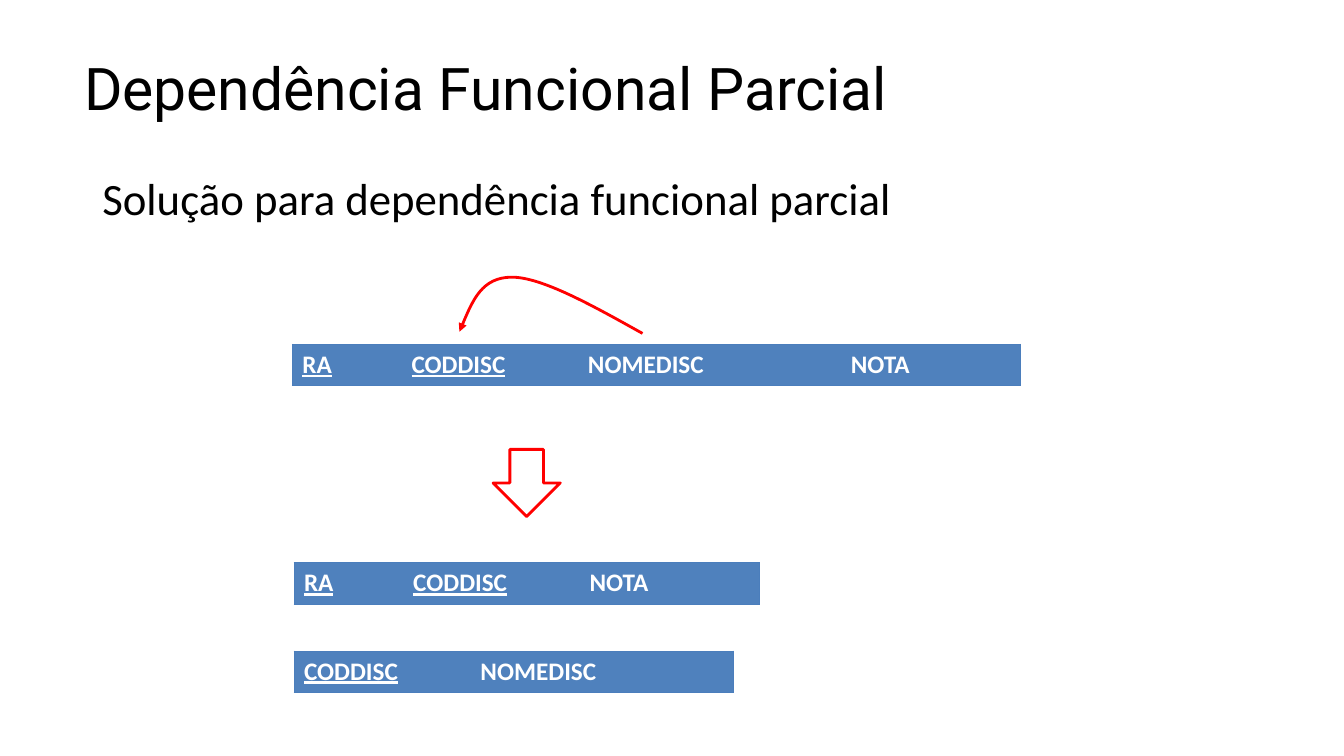
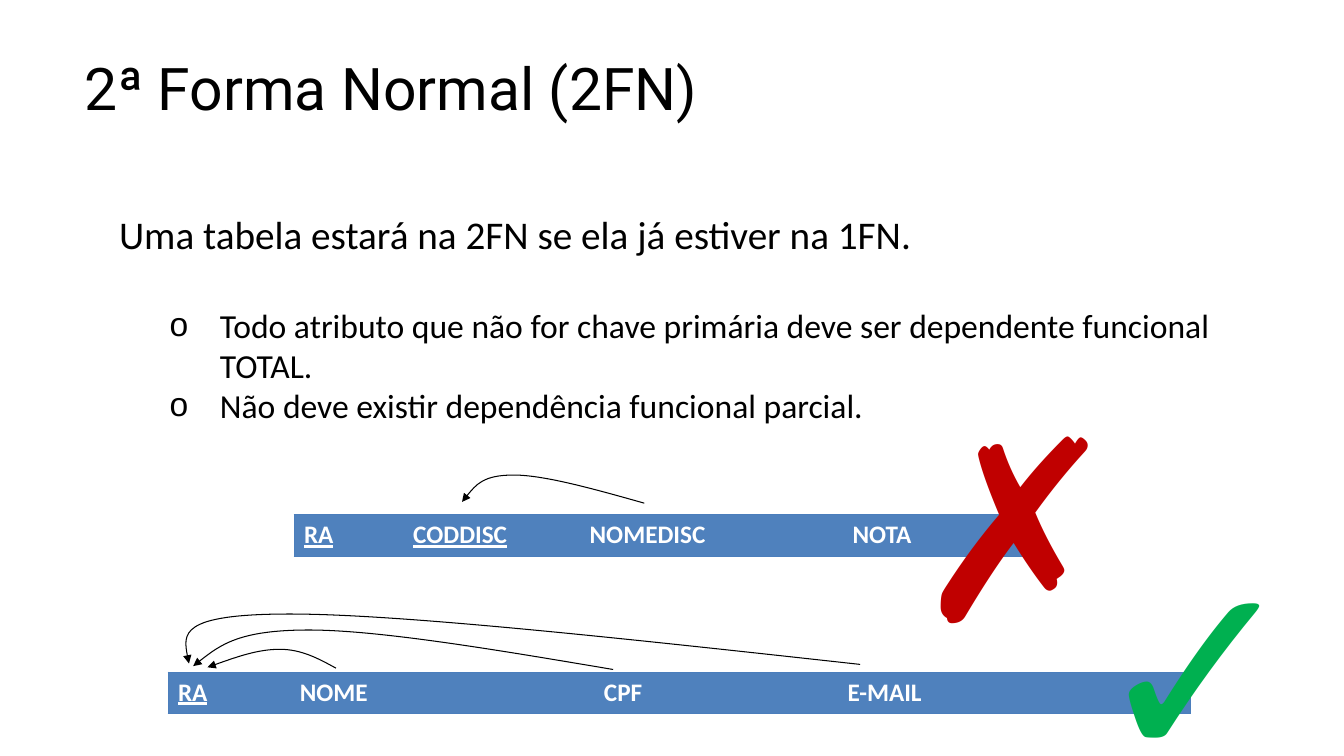
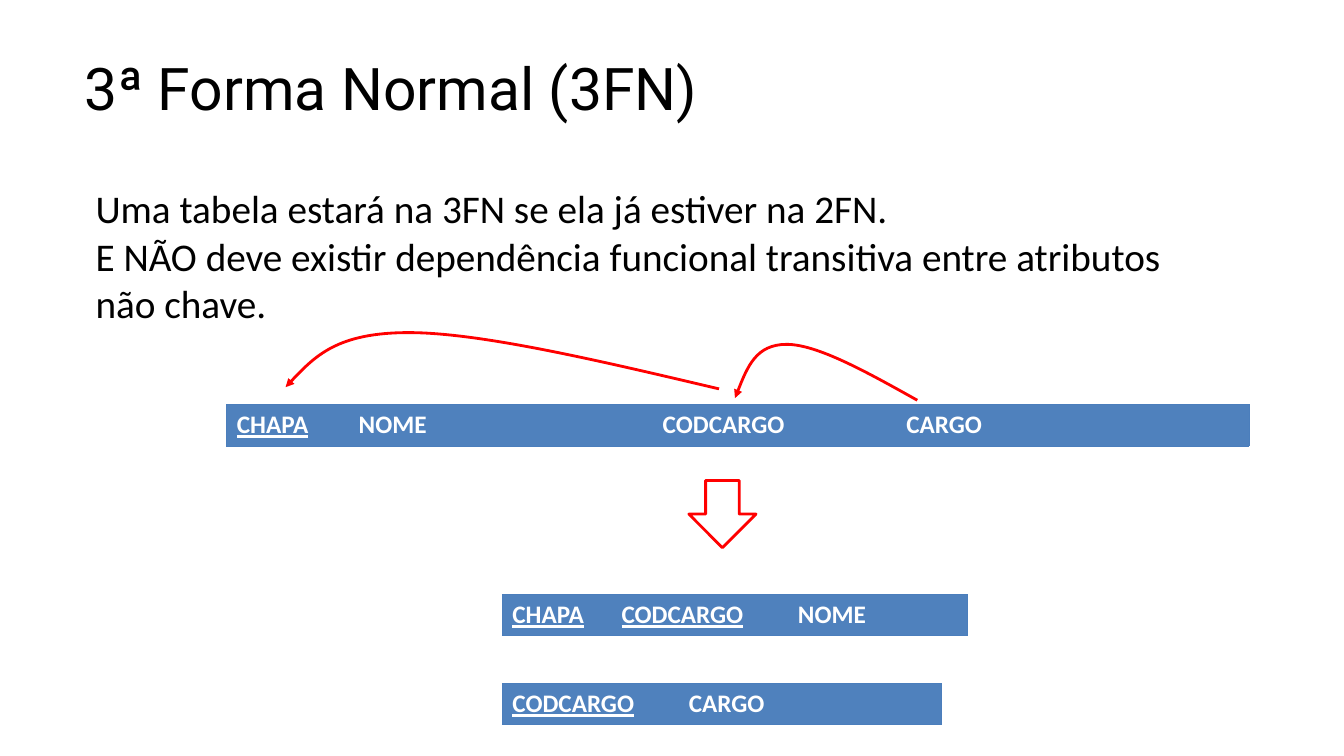
from dataclasses import dataclass

from lxml.etree import SubElement
from pptx import Presentation
from pptx.dml.color import RGBColor
from pptx.enum.shapes import MSO_SHAPE
from pptx.enum.text import MSO_ANCHOR, MSO_AUTO_SIZE, PP_ALIGN
from pptx.oxml.ns import qn
from pptx.presentation import Presentation as Deck
from pptx.slide import Slide
from pptx.util import Emu, Inches, Pt

# The slide is a grid of 160 columns by 90 rows
COLS, ROWS = 160, 90
WIDE, HIGH = 12192000, 6858000


@dataclass(frozen=True)
class Theme:
    ink: str = "000000"
    paper: str = "FFFFFF"
    band: str = "4F81BD"
    edge: str = "4B7EBC"
    alert: str = "FF0000"
    good: str = "00B050"
    bad: str = "C00000"
    head: str = "Roboto"
    body: str = "Calibri"
    sign: str = "Arial"
    title: float = 42
    lead: float = 32
    text: float = 28
    item: float = 24
    cell: float = 18
    mark: float = 180
    thin: float = 0.75
    bold: float = 2


THEME = Theme()


@dataclass(frozen=True)
class Box:
    x: float
    y: float
    w: float
    h: float

    def place(self) -> tuple[Emu, Emu, Emu, Emu]:
        return col(self.x), row(self.y), col(self.w), row(self.h)


@dataclass(frozen=True)
class Line:
    text: str
    size: float = THEME.text
    color: str = THEME.ink
    font: str = THEME.body
    bullet: bool = False
    gap: float = 0


@dataclass(frozen=True)
class Band:
    """A relation: its first `keys` fields are underlined."""
    x: float
    y: float
    names: tuple[str, ...]
    widths: tuple[float, ...]
    keys: int = 1


@dataclass(frozen=True)
class Arc:
    """An arrow that rises to `top` between two bends."""
    start: tuple[float, float]
    bends: tuple[float, float]
    top: float
    end: tuple[float, float]


# Column widths of the relations
FULL = (13, 21, 31.3, 21.4)
LONG = (14.5, 36.2, 29, 42)
TRIO = (13, 21, 21.4)
PAIR = (21, 31.3)
BAND_H = 4.9


def col(n: float) -> Emu:
    return Emu(round(n * WIDE / COLS))


def row(n: float) -> Emu:
    return Emu(round(n * HIGH / ROWS))


def rgb(code: str) -> RGBColor:
    return RGBColor.from_string(code)


def style(font, name: str, size: float, color: str) -> None:
    font.name, font.size = name, Pt(size)
    font.color.rgb = rgb(color)


def add_title(deck: Deck, text: str) -> Slide:
    slide = deck.slides.add_slide(deck.slide_layouts[5])
    title = slide.shapes.title
    title.left, title.top, title.width, title.height = Box(10, 5.9, 108.3, 8.7).place()
    frame = title.text_frame
    frame.text = text
    frame.auto_size = MSO_AUTO_SIZE.NONE
    frame.vertical_anchor = MSO_ANCHOR.TOP
    frame.margin_left = frame.margin_right = frame.margin_bottom = 0
    frame.margin_top = Inches(0.02)
    para = frame.paragraphs[0]
    para.alignment = PP_ALIGN.LEFT
    style(para.runs[0].font, THEME.head, THEME.title, THEME.ink)
    return slide


def add_text(slide: Slide, box: Box, lines: list[Line], wrap: bool = True,
             align: PP_ALIGN = PP_ALIGN.LEFT) -> None:
    frame = slide.shapes.add_textbox(*box.place()).text_frame
    frame.word_wrap = wrap
    frame.text = "\n".join(line.text for line in lines)
    for para, line in zip(frame.paragraphs, lines):
        para.alignment = align
        if line.gap:
            para.space_before = Pt(line.gap)
        if line.bullet:
            para.level = 1
            props = para._p.get_or_add_pPr()
            props.set("marL", str(Inches(1)))
            props.set("indent", str(-Inches(0.5)))
            SubElement(props, qn("a:buFont"), typeface=THEME.sign)
            SubElement(props, qn("a:buChar"), char="o")
        style(para.runs[0].font, line.font, line.size, line.color)


def add_mark(slide: Slide, box: Box, sign: str, color: str) -> None:
    add_text(slide, box, [Line(sign, THEME.mark, color, THEME.sign)], False, PP_ALIGN.CENTER)


def set_edges(cell, first: bool, last: bool) -> None:
    """Line the outer sides of a band and clear the inner ones."""
    props = cell._tc.get_or_add_tcPr()
    sides = {"L": first, "R": last, "T": True, "B": True}
    for spot, (side, shown) in enumerate(sides.items()):
        edge = SubElement(props, qn(f"a:ln{side}"), w=str(Pt(THEME.thin)))
        if shown:
            fill = SubElement(edge, qn("a:solidFill"))
            SubElement(fill, qn("a:srgbClr"), val=THEME.edge)
        else:
            SubElement(edge, qn("a:noFill"))
        props.insert(spot, edge)


def add_band(slide: Slide, band: Band) -> None:
    box = Box(band.x, band.y, sum(band.widths), BAND_H)
    table = slide.shapes.add_table(1, len(band.names), *box.place()).table
    for i, (name, width) in enumerate(zip(band.names, band.widths)):
        table.columns[i].width = col(width)
        cell = table.cell(0, i)
        cell.fill.solid()
        cell.fill.fore_color.rgb = rgb(THEME.band)
        set_edges(cell, i == 0, i == len(band.names) - 1)
        cell.text_frame.text = name
        font = cell.text_frame.paragraphs[0].runs[0].font
        style(font, THEME.body, THEME.cell, THEME.paper)
        font.bold, font.underline = True, i < band.keys


def middle(a: tuple[float, float], b: tuple[float, float]) -> tuple[float, float]:
    return (a[0] + b[0]) / 2, (a[1] + b[1]) / 2


def add_arc(slide: Slide, arc: Arc, color: str, width: float) -> None:
    near, far = ((x, arc.top) for x in arc.bends)
    points = [arc.start, middle(arc.start, near), near, middle(near, far),
              far, middle(far, arc.end), arc.end]
    spots = [(col(x), row(y)) for x, y in points]
    maker = slide.shapes.build_freeform(*spots[0])
    maker.add_line_segments(spots[1:], close=False)
    shape = maker.convert_to_shape()
    # Turn each three straight steps into one curve
    steps = list(shape._element.iter(qn("a:lnTo")))
    for i in range(0, len(steps), 3):
        curve = SubElement(steps[i].getparent(), qn("a:cubicBezTo"))
        for step in steps[i:i + 3]:
            curve.append(step[0])
            step.getparent().remove(step)
    shape.shadow.inherit = False
    shape.fill.background()
    shape.line.color.rgb = rgb(color)
    shape.line.width = Pt(width)
    SubElement(shape.line._get_or_add_ln(), qn("a:tailEnd"), type="triangle")


def add_down(slide: Slide, x: float, y: float) -> None:
    shape = slide.shapes.add_shape(MSO_SHAPE.DOWN_ARROW, *Box(x, y, 8, 8).place())
    shape.shadow.inherit = False
    shape.fill.solid()
    shape.fill.fore_color.rgb = rgb(THEME.paper)
    shape.line.color.rgb = rgb(THEME.alert)
    shape.line.width = Pt(THEME.bold)


def draw(slide: Slide, bands: list[Band], arcs: list[Arc], color: str, width: float) -> None:
    for band in bands:
        add_band(slide, band)
    for arc in arcs:
        add_arc(slide, arc, color, width)


def partial(deck: Deck) -> None:
    slide = add_title(deck, "Dependência Funcional Parcial")
    add_text(slide, Box(11, 19.7, 100, 7.7),
             [Line("Solução para dependência funcional parcial", THEME.lead)])
    draw(slide, [
        Band(34.8, 41, ("RA", "CODDISC", "NOMEDISC", "NOTA"), FULL, 2),
        Band(35, 67, ("RA", "CODDISC", "NOTA"), TRIO, 2),
        Band(35, 77.5, ("CODDISC", "NOMEDISC"), PAIR),
    ], [Arc((76.5, 39.7), (64.5, 57.4), 33, (54.7, 39.5))], THEME.alert, THEME.bold)
    add_down(slide, 58.7, 53.5)


def second(deck: Deck) -> None:
    slide = add_title(deck, "2ª Forma Normal (2FN)")
    add_text(slide, Box(13, 24.4, 136, 27.1), [
        Line("Uma tabela estará na 2FN se ela já estiver na 1FN."),
        Line("Todo atributo que não for chave primária deve ser dependente funcional TOTAL.",
             THEME.item, bullet=True, gap=34),
        Line("Não deve existir dependência funcional parcial.", THEME.item, bullet=True),
    ])
    draw(slide, [
        Band(35, 61.3, ("RA", "CODDISC", "NOMEDISC", "NOTA"), FULL, 2),
        Band(20, 80, ("RA", "NOME", "CPF", "E-MAIL"), LONG),
    ], [
        Arc((76.7, 59.9), (64.8, 57.5), 56.55, (55, 59.75)),
        Arc((40, 79.55), (35.9, 30.7), 77.3, (24.7, 79.45)),
        Arc((73, 79.7), (45.1, 28.4), 75, (23, 79.3)),
        Arc((102.4, 79.1), (47.8, 21.2), 73.1, (22.5, 79)),
    ], THEME.ink, THEME.thin)
    # Verdicts
    add_mark(slide, Box(128.8, 60.2, 22, 37.6), "✓", THEME.good)
    add_mark(slide, Box(107.3, 43.4, 21.7, 37.6), "✗", THEME.bad)


def third(deck: Deck) -> None:
    slide = add_title(deck, "3ª Forma Normal (3FN)")
    add_text(slide, Box(10.2, 21.4, 133, 18.1), [
        Line("Uma tabela estará na 3FN se ela já estiver na 2FN."),
        Line("E NÃO deve existir dependência funcional transitiva entre atributos não chave."),
    ])
    draw(slide, [
        Band(27, 48.2, ("CHAPA", "NOME", "CODCARGO", "CARGO"), LONG),
        Band(59.8, 70.8, ("CHAPA", "CODCARGO", "NOME"), TRIO, 2),
        Band(59.8, 81.4, ("CODCARGO", "CARGO"), PAIR),
    ], [
        Arc((109.2, 47.65), (97.3, 90), 41, (87.5, 47.4)),
        Arc((85.6, 46.3), (57.2, 40.1), 39.6, (34, 46.1)),
    ], THEME.alert, THEME.bold)
    add_down(slide, 82, 57.2)


def main() -> None:
    deck = Presentation()
    deck.slide_width, deck.slide_height = Emu(WIDE), Emu(HIGH)
    for build in (partial, second, third):
        build(deck)
    deck.save("out.pptx")


if __name__ == "__main__":
    main()
